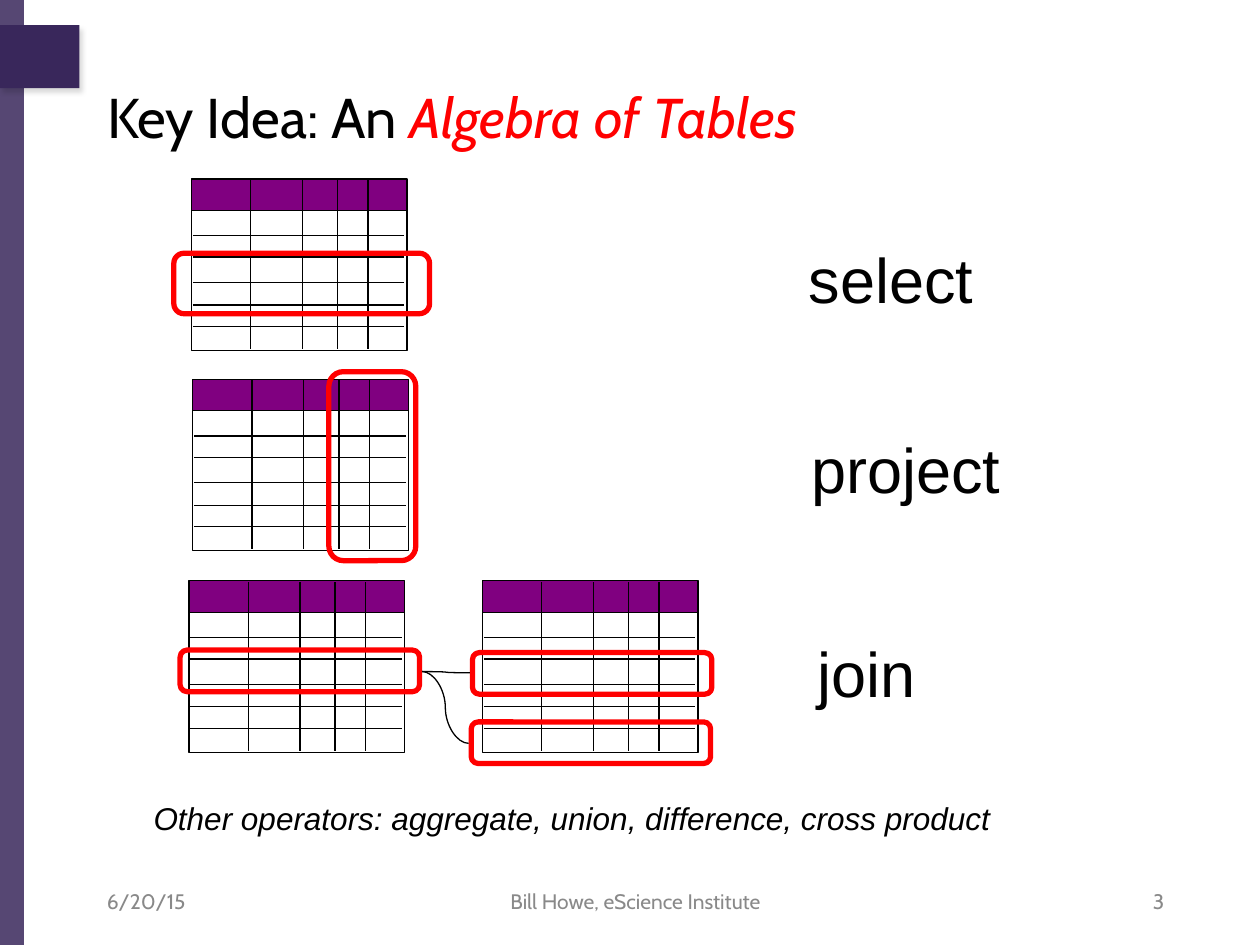
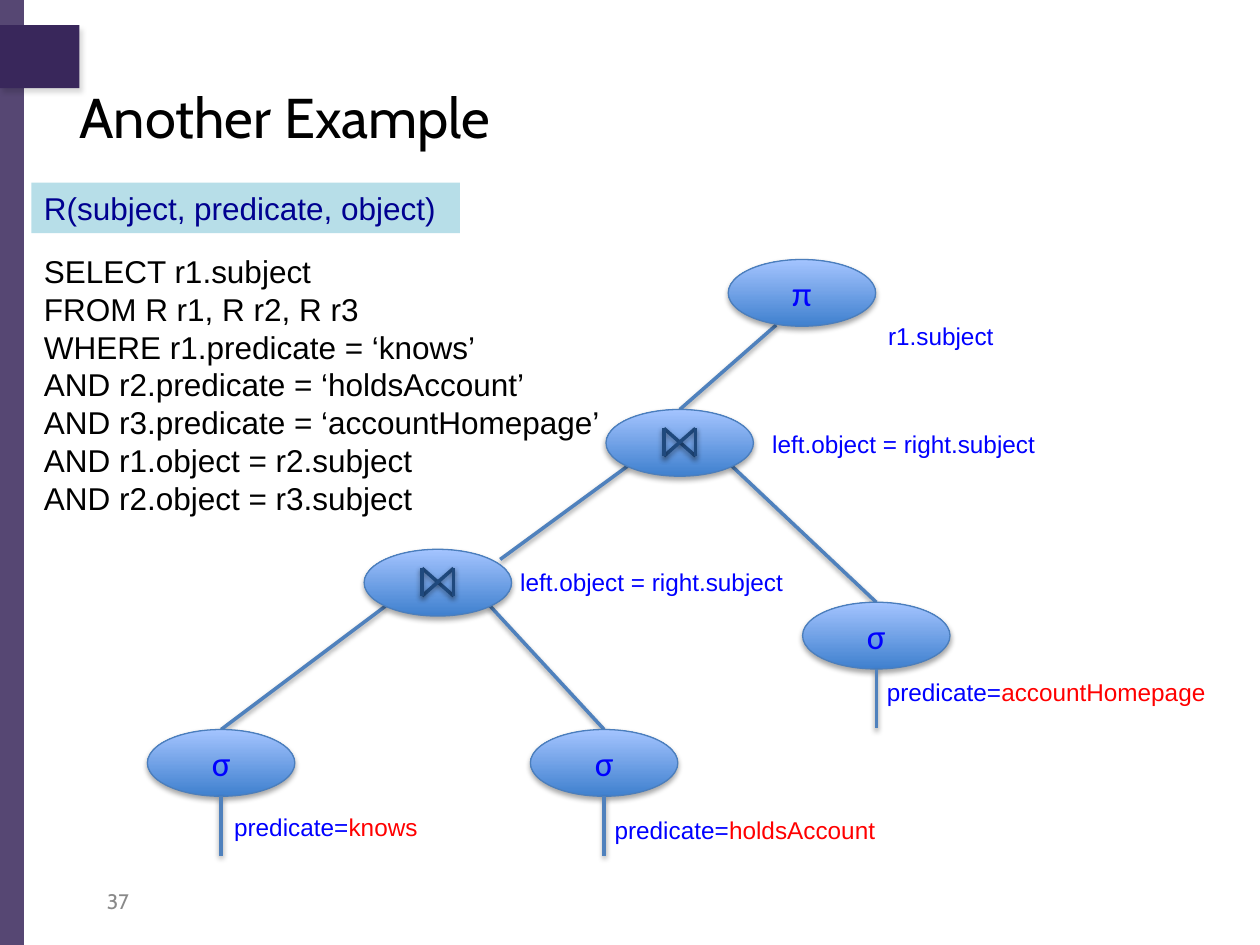
import lxml.etree
import pptx
import pptx.dml.color
import pptx.enum.shapes
import pptx.enum.text
import pptx.oxml.ns
import pptx.util

Inches = pptx.util.Inches
Pt = pptx.util.Pt
RGBColor = pptx.dml.color.RGBColor
SHAPE = pptx.enum.shapes.MSO_SHAPE
CONNECTOR = pptx.enum.shapes.MSO_CONNECTOR
ALIGN = pptx.enum.text.PP_ALIGN
ANCHOR = pptx.enum.text.MSO_ANCHOR
qn = pptx.oxml.ns.qn

BLACK = RGBColor(0x00, 0x00, 0x00)
WHITE = RGBColor(0xFF, 0xFF, 0xFF)
RED = RGBColor(0xFF, 0x00, 0x00)
BLUE = RGBColor(0x00, 0x00, 0xFF)
BAND = RGBColor(0x39, 0x27, 0x5B)
GREY = RGBColor(0x89, 0x89, 0x89)
HEADER = RGBColor(0x80, 0x00, 0x80)
SCHEMA_FILL = RGBColor(0xB7, 0xDE, 0xE8)
SCHEMA_TEXT = RGBColor(0x00, 0x00, 0x90)
NODE_DARK = RGBColor(0x3F, 0x80, 0xCE)
NODE_LIGHT = RGBColor(0xA4, 0xC4, 0xFF)
NODE_LINE = RGBColor(0x4B, 0x7E, 0xBC)
EDGE = RGBColor(0x4F, 0x81, 0xBD)
BOWTIE = RGBColor(0x1F, 0x49, 0x7D)

TITLE_FONT, BODY_FONT, SYMBOL_FONT = "Cabin", "Arial", "Calibri"

# Shadows: opacity %, blur pt, distance pt, direction in degrees
BAND_SHADOW = (15, 3, 3, 60)
NODE_SHADOW = (35, 3.1, 1.8, 90)
EDGE_SHADOW = (38, 3.1, 1.6, 90)

# Grid of a small table, measured from its top left corner
TABLE_W, TABLE_H, HEADER_H = 1.71, 1.35, 0.25
ROW_LINES = (0.25, 0.45, 0.62, 0.82, 1.0, 1.17)
COLUMN_LINES = (0.47, 0.88, 1.16, 1.4)

# Tree nodes; CORNER is the 45 degree point of the ellipse
NODE_W, NODE_H = 1.17, 0.53
CORNER_X, CORNER_Y = 0.17, 0.45
STEM = 0.47


class Deck:
    def __init__(self):
        self.prs = pptx.Presentation()
        self.prs.slide_width, self.prs.slide_height = Inches(10), Inches(7.5)
        self.shapes = None

    def new_slide(self, title, box):
        """Start a slide with side band, corner block and title."""
        slide = self.prs.slides.add_slide(self.prs.slide_layouts[5])
        self.shapes = slide.shapes
        side = self.shape(SHAPE.RECTANGLE, (0, 0, 0.19, 7.5), BAND)
        color = side._element.spPr.find(".//" + qn("a:srgbClr"))
        lxml.etree.SubElement(color, qn("a:alpha"), val="85000")
        self.shape(SHAPE.RECTANGLE, (0, 0.2, 0.63, 0.5), BAND, shadow=BAND_SHADOW)
        heading = self.shapes.title
        heading.left, heading.top, heading.width, heading.height = map(Inches, box)
        self.fill_text(heading, [title], 32, TITLE_FONT, anchor=ANCHOR.MIDDLE)

    def fill_text(self, shape, lines, size, font=BODY_FONT, color=BLACK,
                  align=ALIGN.LEFT, anchor=ANCHOR.TOP, italic=None, baseline=None):
        """Each line is a string or a list of (text, color, italic) parts."""
        frame = shape.text_frame
        frame.word_wrap = True
        frame.vertical_anchor = anchor
        for index, line in enumerate(lines):
            paragraph = frame.paragraphs[0] if index == 0 else frame.add_paragraph()
            paragraph.alignment = align
            parts = [(line, color, italic)] if isinstance(line, str) else line
            for text, part_color, part_italic in parts:
                run = paragraph.add_run()
                run.text = text
                run.font.name, run.font.size = font, Pt(size)
                run.font.color.rgb, run.font.italic = part_color, part_italic
                if baseline:
                    run._r.get_or_add_rPr().set("baseline", str(baseline * 1000))

    def text(self, box, lines, size, **style):
        self.fill_text(self.shapes.add_textbox(*map(Inches, box)), lines, size, **style)

    def footer(self, left, width, text, align=ALIGN.LEFT):
        self.text((left, 6.95, width, 0.4), [text], 12, font=TITLE_FONT,
                  color=GREY, align=align, anchor=ANCHOR.MIDDLE)

    def cast_shadow(self, properties, shadow):
        effects = properties.find(qn("a:effectLst"))
        if effects is None:
            effects = lxml.etree.SubElement(properties, qn("a:effectLst"))
        if shadow:
            opacity, blur, distance, angle = shadow
            outer = lxml.etree.SubElement(
                effects, qn("a:outerShdw"), blurRad=str(Pt(blur)),
                dist=str(Pt(distance)), dir=str(angle * 60000), rotWithShape="0")
            color = lxml.etree.SubElement(outer, qn("a:srgbClr"), val=str(BLACK))
            lxml.etree.SubElement(color, qn("a:alpha"), val=str(opacity * 1000))

    def shape(self, kind, box, fill=None, line=None, width=0.75, shadow=None):
        shape = self.shapes.add_shape(kind, *map(Inches, box))
        if fill is None:
            shape.fill.background()
        else:
            shape.fill.solid()
            shape.fill.fore_color.rgb = fill
        if line is None:
            shape.line.fill.background()
        else:
            shape.line.color.rgb, shape.line.width = line, Pt(width)
        shape.shadow.inherit = False
        self.cast_shadow(shape._element.spPr, shadow)
        return shape

    def line(self, start, end, color=BLACK, width=0.75, shadow=None,
             kind=CONNECTOR.STRAIGHT):
        line = self.shapes.add_connector(kind, *map(Inches, (*start, *end)))
        line.line.color.rgb, line.line.width = color, Pt(width)
        self.cast_shadow(line._element.spPr, shadow)

    def grid(self, left, top):
        """Small table with a coloured header."""
        self.shape(SHAPE.RECTANGLE, (left, top + 0.01, TABLE_W, TABLE_H), WHITE, BLACK)
        self.shape(SHAPE.RECTANGLE, (left, top, TABLE_W, HEADER_H), HEADER, BLACK)
        for y in ROW_LINES:
            self.line((left + 0.01, top + y), (left + 1.69, top + y))
        for x in COLUMN_LINES:
            self.line((left + x, top + 0.01), (left + x, top + TABLE_H))

    def highlight(self, *box):
        self.shape(SHAPE.ROUNDED_RECTANGLE, box, line=RED, width=3)

    def node(self, left, top, symbol=None):
        """Operator ellipse with a symbol, or with a bowtie for a join."""
        node = self.shape(SHAPE.OVAL, (left, top, NODE_W, NODE_H), NODE_DARK,
                          NODE_LINE, shadow=NODE_SHADOW)
        node.fill.gradient()
        node.fill.gradient_angle = 90
        for stop, color in zip(node.fill.gradient_stops, (NODE_DARK, NODE_LIGHT)):
            stop.color.rgb = color
        if symbol:
            self.fill_text(node, [symbol], 20, SYMBOL_FONT, BLUE, ALIGN.CENTER,
                           ANCHOR.MIDDLE)
            return
        west, east = left + 0.46, left + 0.71
        north, south = top + 0.15, top + 0.37
        for x1, x2 in ((west, east), (east, west), (west, west), (east, east)):
            self.line((x1, north), (x2, south), BOWTIE, 2, EDGE_SHADOW)

    def edge(self, start, end):
        self.line(start, end, EDGE, 2, EDGE_SHADOW)

    def condition(self, left, top, width, text, value=""):
        """Subscript label: blue text, then an optional red value."""
        parts = [(text, BLUE, None)] + ([(value, RED, None)] if value else [])
        self.text((left, top, width, 0.5), [parts], 24, baseline=-25)


def left_corner(node):
    return node[0] + CORNER_X, node[1] + CORNER_Y


def right_corner(node):
    return node[0] + NODE_W - CORNER_X, node[1] + CORNER_Y


def top_of(node):
    return node[0] + NODE_W / 2, node[1]


def algebra_slide(deck):
    deck.new_slide([("Key Idea: An ", BLACK, None), ("Algebra of Tables", RED, True)],
                   (0.75, 0.42, 8.59, 1))
    deck.footer(0.75, 2.33, "6/20/15")
    deck.footer(3.46, 3.17, "Bill Howe, eScience Institute", ALIGN.CENTER)
    deck.footer(7.01, 2.33, "3", ALIGN.RIGHT)

    # Tables
    for corner in ((1.52, 1.42), (1.53, 3.01), (1.5, 4.61), (3.83, 4.61)):
        deck.grid(*corner)

    # Chosen rows and columns
    deck.highlight(1.38, 2.01, 2.03, 0.48)
    deck.highlight(2.61, 2.95, 0.69, 1.5)
    for left, top in ((3.75, 5.18), (1.43, 5.16), (3.74, 5.73)):
        deck.highlight(left, top, 1.9, 0.33)

    # Matches of the join
    for match in ((3.73, 5.34), (3.72, 5.9)):
        deck.line((3.35, 5.33), match, kind=CONNECTOR.CURVE)

    # Operator names
    for left, top, operator in ((6.32, 1.86, "select"), (6.34, 3.37, "project"),
                                (6.39, 4.99, "join")):
        deck.text((left, top, 3.09, 0.7), [operator], 36)
    deck.text((1.12, 6.29, 8.55, 0.5),
              ["Other operators: aggregate, union, difference, cross product"],
              18, italic=True)


def query_slide(deck):
    deck.new_slide("Another Example", (0.53, 0.38, 8.97, 1.08))
    deck.footer(0.75, 2.33, "37")

    # Schema and query
    schema = deck.shape(SHAPE.RECTANGLE, (0.25, 1.45, 3.4, 0.4), SCHEMA_FILL)
    deck.fill_text(schema, ["R(subject, predicate, object)"], 18, color=SCHEMA_TEXT)
    deck.text((0.25, 1.95, 5.79, 2.22), [
        "SELECT r1.subject",
        "FROM R r1, R r2, R r3",
        "WHERE r1.predicate = ‘knows’",
        "AND r2.predicate = ‘holdsAccount’",
        "AND r3.predicate = ‘accountHomepage’",
        "AND r1.object = r2.subject",
        "AND r2.object = r3.subject",
    ], 18)

    # Edges of the plan
    project, upper_join, lower_join = (5.78, 2.06), (4.81, 3.25), (2.89, 4.36)
    knows, account, homepage = (1.17, 5.79), (4.21, 5.79), (6.37, 4.78)
    deck.edge((6.16, 2.58), top_of(upper_join))
    deck.edge(left_corner(upper_join), (3.97, 4.44))
    deck.edge(right_corner(upper_join), top_of(homepage))
    deck.edge(left_corner(lower_join), top_of(knows))
    deck.edge(right_corner(lower_join), top_of(account))

    # Operators
    deck.node(*project, "π")
    deck.node(*upper_join)
    deck.node(*lower_join)
    for selection in (knows, account, homepage):
        deck.node(*selection, "σ")
        x, y = top_of(selection)
        deck.edge((x, y + NODE_H), (x, y + NODE_H + STEM))

    # Conditions
    deck.condition(6.95, 2.28, 1.17, "r1.subject")
    for left, top in ((6.03, 3.13), (4.03, 4.23)):
        deck.condition(left, top, 2.63, "left.object = right.subject")
    for left, top, width, value in ((1.76, 6.17, 1.89, "knows"),
                                    (4.78, 6.2, 2.6, "holdsAccount"),
                                    (6.94, 5.1, 3.06, "accountHomepage")):
        deck.condition(left, top, width, "predicate=", value)


def main():
    deck = Deck()
    algebra_slide(deck)
    query_slide(deck)
    deck.prs.save("out.pptx")


if __name__ == "__main__":
    main()
